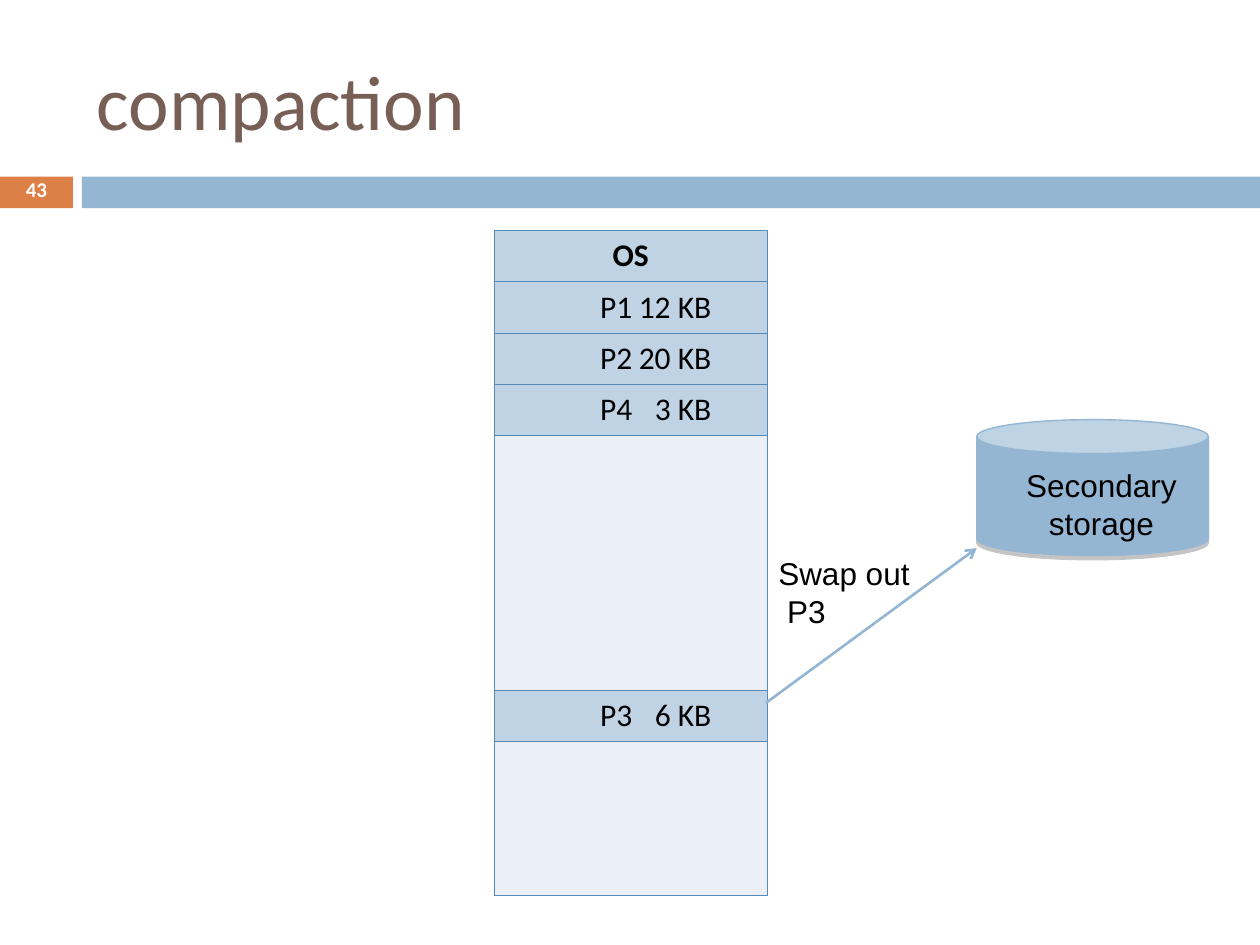
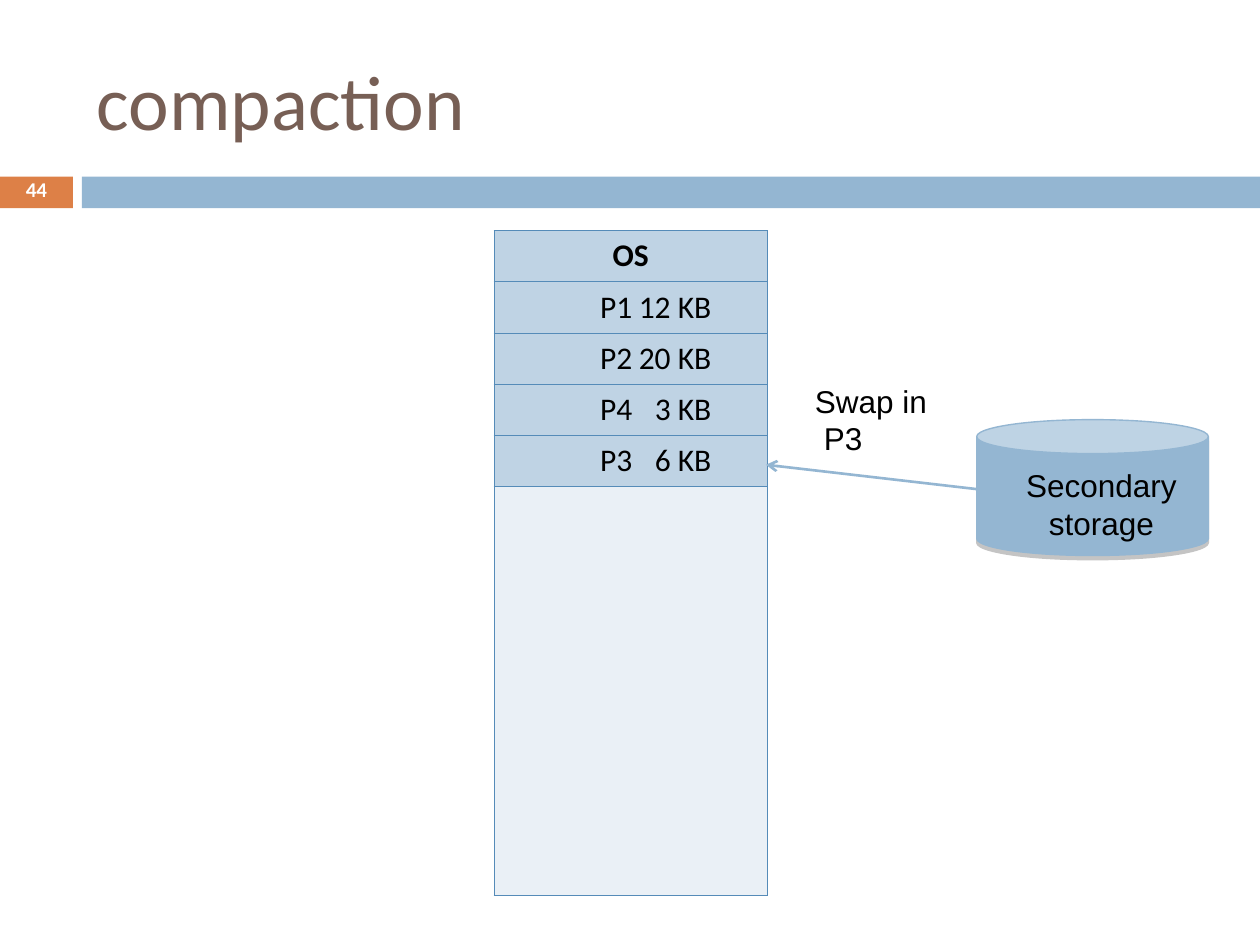
from lxml import etree
from pptx import Presentation
from pptx.dml.color import RGBColor
from pptx.enum.shapes import MSO_CONNECTOR, MSO_SHAPE
from pptx.enum.text import MSO_ANCHOR, PP_ALIGN
from pptx.oxml.ns import qn
from pptx.util import Cm, Pt

COLORS = {
    "title": "775F55", "accent": "DD8047", "band": "94B6D2",
    "used": "BFD3E4", "free": "EAF0F6", "border": "558BB8",
    "text": "000000", "white": "FFFFFF", "shadow": "808080",
}
HEADING_FONT, LABEL_FONT = "Calibri", "Arial"

BAND_TOP, BAND_HEIGHT = 3.56, 0.64
MEMORY_LEFT, MEMORY_TOP, MEMORY_WIDTH, ROW_HEIGHT = 9.96, 4.65, 5.51, 1.03
BORDER_WIDTH = 0.45
MEMORY_RIGHT, STORAGE_LEFT = 15.44, 19.69

# Each row of memory holds "OS", a (process, size) pair or None when free.
COMPACTED = ["OS", ("P1", "12 KB"), ("P2", "20 KB"), ("P4", "3 KB")]
P3 = ("P3", "6 KB")


def rgb(name):
    return RGBColor.from_string(COLORS[name])


def box(left, top, width, height):
    return Cm(left), Cm(top), Cm(width), Cm(height)


def style(paragraph, size, font, color, bold=False):
    paragraph.font.size = Pt(size)
    paragraph.font.name = font
    paragraph.font.bold = bold
    paragraph.font.color.rgb = rgb(color)


def add_color(parent, name):
    fill = etree.SubElement(parent, qn("a:solidFill"))
    return etree.SubElement(fill, qn("a:srgbClr"), val=COLORS[name])


def add_title(slide, text):
    title = slide.shapes.title
    title.left, title.top, title.width, title.height = box(1.7, 0.64, 22.66, 2.74)
    frame = title.text_frame
    frame.text = text
    frame.vertical_anchor = MSO_ANCHOR.MIDDLE
    frame.paragraphs[0].alignment = PP_ALIGN.LEFT
    style(frame.paragraphs[0], 44, HEADING_FONT, "title")


def add_filled_shape(slide, kind, place, color):
    shape = slide.shapes.add_shape(kind, *box(*place))
    shape.shadow.inherit = False
    shape.fill.solid()
    shape.fill.fore_color.rgb = rgb(color)
    shape.line.fill.background()
    return shape


def add_label(slide, place, lines, align=PP_ALIGN.LEFT):
    frame = slide.shapes.add_textbox(*box(*place)).text_frame
    frame.word_wrap = True
    frame.text = "\n".join(lines)
    for paragraph in frame.paragraphs:
        paragraph.alignment = align
        style(paragraph, 18, LABEL_FONT, "text")
    return frame


def add_header(slide, number):
    """Add the title, the two bands and the slide number."""
    add_title(slide, "compaction")
    for left, width, color in ((0, 1.47, "accent"), (1.65, 23.75, "band")):
        add_filled_shape(slide, MSO_SHAPE.RECTANGLE,
                         (left, BAND_TOP, width, BAND_HEIGHT), color)
    frame = add_label(slide, (0, 3.53, 1.47, 0.69), [str(number)], PP_ALIGN.CENTER)
    frame.vertical_anchor = MSO_ANCHOR.MIDDLE
    frame.paragraphs[0].line_spacing = 0.7
    style(frame.paragraphs[0], 12, HEADING_FONT, "white", bold=True)


def set_borders(cell, top, bottom):
    """Draw both sides, and the top and bottom edges that are asked for."""
    edges = (("a:lnL", True), ("a:lnR", True), ("a:lnT", top), ("a:lnB", bottom))
    for tag, shown in edges:
        line = etree.SubElement(cell._tc.get_or_add_tcPr(), qn(tag),
                                w=str(Pt(BORDER_WIDTH)))
        if shown:
            add_color(line, "border")
        else:
            etree.SubElement(line, qn("a:noFill"))


def write_process(cell, process):
    """Set the name and the size apart with a right-aligned tab stop."""
    cell.margin_left = Cm(2.14)
    cell.text = "\t".join(process)
    paragraph = cell.text_frame.paragraphs[0]
    tabs = etree.SubElement(paragraph._p.get_or_add_pPr(), qn("a:tabLst"))
    etree.SubElement(tabs, qn("a:tab"), pos=str(Cm(2.24)), algn="r")
    style(paragraph, 18, HEADING_FONT, "text")


def add_memory(slide, blocks):
    count = len(blocks)
    table = slide.shapes.add_table(
        count, 1, *box(MEMORY_LEFT, MEMORY_TOP, MEMORY_WIDTH, count * ROW_HEIGHT)).table
    table.first_row = table.horz_banding = False
    for i, block in enumerate(blocks):
        table.rows[i].height = Cm(ROW_HEIGHT)
        cell = table.cell(i, 0)
        set_borders(cell,
                    top=i == 0 or bool(block or blocks[i - 1]),
                    bottom=i == count - 1 or bool(block or blocks[i + 1]))
        cell.fill.solid()
        cell.fill.fore_color.rgb = rgb("used" if block else "free")
        if block == "OS":
            cell.text = block
            heading = cell.text_frame.paragraphs[0]
            heading.alignment = PP_ALIGN.CENTER
            style(heading, 18, HEADING_FONT, "text", bold=True)
        elif block:
            write_process(cell, block)


def add_storage(slide):
    storage = add_filled_shape(slide, MSO_SHAPE.CAN,
                               (STORAGE_LEFT, 8.46, 4.67, 2.74), "band")
    storage.line.color.rgb = rgb("band")
    storage.line.width = Pt(0.79)
    effects = storage._element.spPr.find(qn("a:effectLst"))
    shadow = etree.SubElement(effects, qn("a:outerShdw"), dist=str(Pt(2.4)),
                              dir="5400000", rotWithShape="0")
    tint = etree.SubElement(shadow, qn("a:srgbClr"), val=COLORS["shadow"])
    etree.SubElement(tint, qn("a:alpha"), val="45000")
    add_label(slide, (20.4, 9.27, 3.61, 1.78), ["Secondary", "storage"],
              PP_ALIGN.CENTER)


def add_swap(slide, caption, caption_at, start, end):
    """Add the arrow of a swap and its two-line caption."""
    frame = add_label(slide, (*caption_at, 4.24, 1.78), [caption, "P3"])
    frame.paragraphs[1]._p.get_or_add_pPr().set("marL", str(Cm(0.18)))
    arrow = slide.shapes.add_connector(
        MSO_CONNECTOR.STRAIGHT, *(Cm(value) for value in (*start, *end)))
    arrow.line.color.rgb = rgb("band")
    arrow.line.width = Pt(1.5)
    etree.SubElement(arrow.line._get_or_add_ln(), qn("a:tailEnd"), type="arrow")
    etree.SubElement(arrow._element.spPr, qn("a:effectLst"))


def add_compaction_slide(prs, number, blocks, swap):
    slide = prs.slides.add_slide(prs.slide_layouts[5])
    add_header(slide, number)
    add_memory(slide, blocks)
    add_storage(slide)
    add_swap(slide, *swap)


def main():
    prs = Presentation()
    prs.slide_width, prs.slide_height = Cm(25.4), Cm(19.05)
    add_compaction_slide(
        prs, 43, COMPACTED + [None] * 5 + [P3] + [None] * 3,
        ("Swap out", (15.44, 11.05), (MEMORY_RIGHT, 14.17), (STORAGE_LEFT, 11.05)))
    add_compaction_slide(
        prs, 44, COMPACTED + [P3] + [None] * 8,
        ("Swap in", (16.18, 7.57), (STORAGE_LEFT, 9.86), (MEMORY_RIGHT, 9.37)))
    prs.save("out.pptx")


if __name__ == "__main__":
    main()
